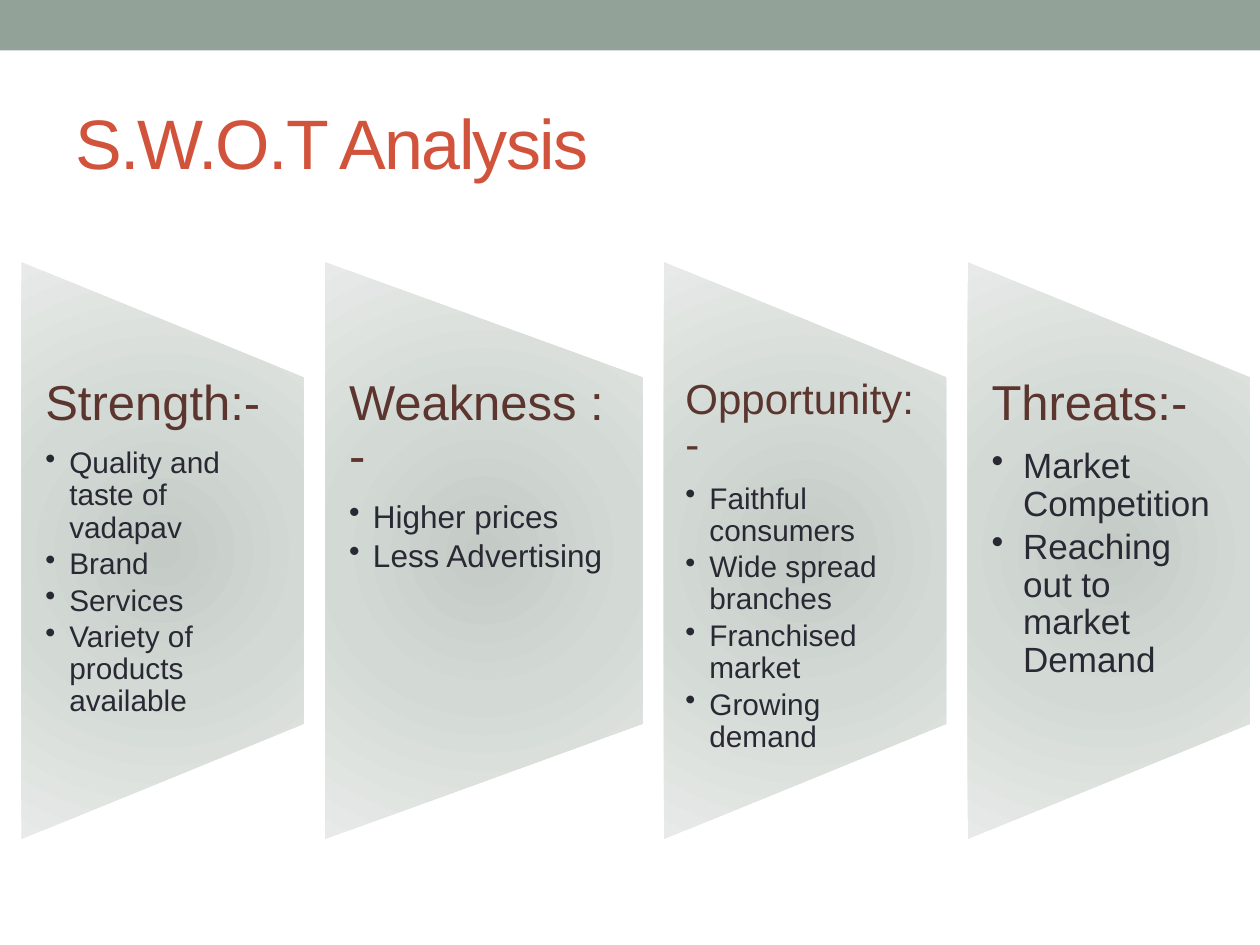
"""Build a S.W.O.T. analysis slide with four tapered panels."""
import pptx
import pptx.dml.color
import pptx.enum.shapes
import pptx.enum.text
import pptx.oxml
import pptx.oxml.ns
import pptx.util
from pptx.util import Inches

RGBColor = pptx.dml.color.RGBColor
SAGE = RGBColor(0x93, 0xA2, 0x99)
RED = RGBColor(0xD2, 0x53, 0x3C)
BROWN = RGBColor(0x5B, 0x35, 0x2E)
INK = RGBColor(0x29, 0x29, 0x34)
GRADIENT = {
    0: RGBColor(0xC4, 0xCA, 0xC6),
    45: RGBColor(0xD3, 0xDA, 0xD6),
    100: RGBColor(0xE7, 0xEA, 0xE8),
}

PANELS = [
    ("Strength:-", 28, 2.24, 0.19, 17, 0.19,
     ["Quality and taste of vadapav", "Brand", "Services", "Variety of products available"]),
    ("Weakness :-", 28, 2.52, 0.19, 18, 0.19, ["Higher prices", "Less Advertising"]),
    ("Opportunity:-", 24, 2.24, 0.17, 17, 0.19,
     ["Faithful consumers", "Wide spread branches", "Franchised market", "Growing demand"]),
    ("Threats:-", 28, 2.24, 0.19, 20, 0.25,
     ["Market Competition", "Reaching out to market Demand"]),
]
PANEL_TOP, PANEL_HEIGHT, GAP = 2.08, 4.58, 0.17
TEXT_TOP, TEXT_HEIGHT = 3, 2.75


def write(paragraph, text, size, color):
    run = paragraph.add_run()
    run.text = text
    for key, value in {"name": "Arial", "size": pptx.util.Pt(size)}.items():
        setattr(run.font, key, value)
    run.font.color.rgb = color
    return run


def fill_radial(shape):
    stops = "".join(f'<a:gs pos="{pos * 1000}"><a:srgbClr val="{color}"/></a:gs>'
                    for pos, color in GRADIENT.items())
    gradient = pptx.oxml.parse_xml(
        f'<a:gradFill {pptx.oxml.ns.nsdecls("a")} rotWithShape="1"><a:gsLst>{stops}</a:gsLst>'
        '<a:path path="circle"><a:fillToRect l="100000" t="100000" r="100000" b="100000"/>'
        '</a:path></a:gradFill>')
    shape.fill.background()
    blank_fill = shape._element.spPr.find(pptx.oxml.ns.qn("a:noFill"))
    shape._element.spPr.replace(blank_fill, gradient)


prs = pptx.Presentation()
prs.slide_width, prs.slide_height = Inches(10), Inches(7.5)
slide = prs.slides.add_slide(prs.slide_layouts[6])
shapes = slide.shapes

band = shapes.add_shape(pptx.enum.shapes.MSO_SHAPE.RECTANGLE, 0, 0, Inches(10), Inches(0.4))
band.shadow.inherit = False
band.fill.solid()
band.fill.fore_color.rgb = SAGE
band.line.fill.background()

title = shapes.add_textbox(Inches(0.5), Inches(0.58), Inches(9), Inches(1.08))
title.text_frame.word_wrap = True
title.text_frame.vertical_anchor = pptx.enum.text.MSO_ANCHOR.MIDDLE
title_run = write(title.text_frame.paragraphs[0], "S.W.O.T Analysis", 40, RED)
title_run.font._element.set("spc", "-100")

left = 0.17
for heading, heading_size, width, inset, point_size, indent, points in PANELS:
    panel = shapes.add_shape(
        pptx.enum.shapes.MSO_SHAPE.FLOWCHART_MANUAL_OPERATION,
        Inches(left + (width - PANEL_HEIGHT) / 2),
        Inches(PANEL_TOP + (PANEL_HEIGHT - width) / 2),
        Inches(PANEL_HEIGHT), Inches(width))
    panel.rotation = 270
    panel.shadow.inherit = False
    panel.line.fill.background()
    fill_radial(panel)

    box = shapes.add_textbox(Inches(left), Inches(TEXT_TOP), Inches(width), Inches(TEXT_HEIGHT))
    frame = box.text_frame
    frame_format = {
        "word_wrap": True,
        "margin_left": Inches(inset),
        "margin_right": Inches(inset),
        "margin_top": 0,
        "margin_bottom": 0,
    }
    for key, value in frame_format.items():
        setattr(frame, key, value)

    heading_line = frame.paragraphs[0]
    heading_line.line_spacing = 0.9
    heading_line.space_after = pptx.util.Pt(round(heading_size * 0.35, 1))
    write(heading_line, heading, heading_size, BROWN)

    for point in points:
        line = frame.add_paragraph()
        point_format = {
            "level": 1,
            "line_spacing": 0.9,
            "space_after": pptx.util.Pt(round(point_size * 0.15, 1)),
        }
        for key, value in point_format.items():
            setattr(line, key, value)
        properties = line._p.get_or_add_pPr()
        properties.set("marL", str(Inches(indent)))
        properties.set("indent", str(-Inches(indent)))
        properties.append(pptx.oxml.parse_xml(
            f'<a:buChar {pptx.oxml.ns.nsdecls("a")} char="•"/>'))
        write(line, point, point_size, INK)

    left += width + GAP

prs.save("out.pptx")
